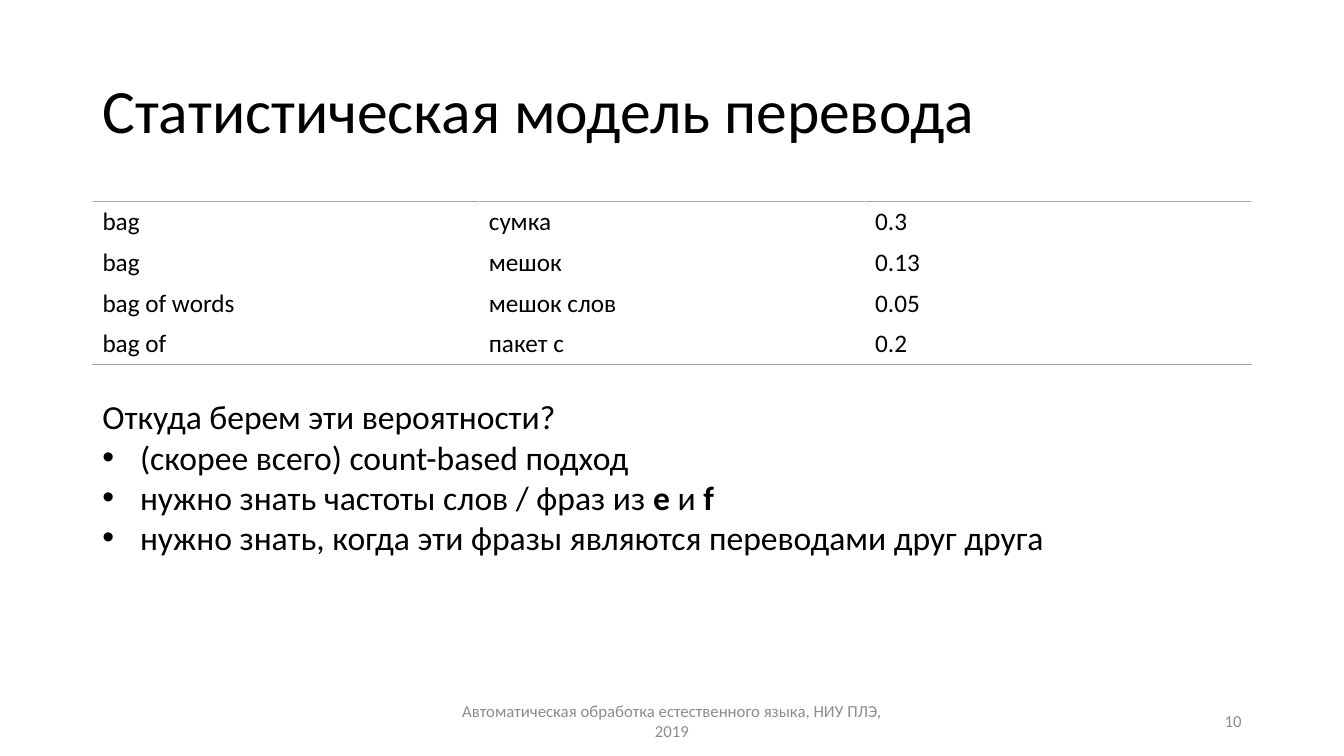
from lxml import etree
from pptx import Presentation
from pptx.dml.color import RGBColor
from pptx.enum.text import MSO_ANCHOR as Anchor, MSO_AUTO_SIZE as AutoSize, PP_ALIGN as Align
from pptx.oxml import parse_xml
from pptx.oxml.ns import nsdecls, qn
from pptx.util import Cm, Pt

FONT = "Calibri"
BLACK, GREY, RULE = "000000", "8C8C8C", "A5A5A5"
LEFT, WIDTH = 2.33, 29.21

TRANSLATIONS = [
    ("bag", "сумка", "0.3"),
    ("bag", "мешок", "0.13"),
    ("bag of words", "мешок слов", "0.05"),
    ("bag of", "пакет с", "0.2"),
]
QUESTION = "Откуда берем эти вероятности?"
# Each answer is a list of (text, bold) runs.
ANSWERS = [
    [("(скорее всего) count-based подход", False)],
    [("нужно знать частоты слов / фраз из ", False), ("e ", True), ("и ", False), ("f", True)],
    [("нужно знать, когда эти фразы являются переводами друг друга", False)],
]


def color(value):
    return RGBColor.from_string(value)


def add_run(p, text, size, fill=BLACK, bold=False):
    r = p.add_run()
    r.text = text
    for name, value in {"name": FONT, "size": Pt(size), "bold": bold}.items():
        setattr(r.font, name, value)
    r.font.color.rgb = color(fill)


def add_text_frame(s, box, anchor=Anchor.TOP):
    tf = s.shapes.add_textbox(*map(Cm, box)).text_frame
    tf.word_wrap = True
    tf.vertical_anchor = anchor
    return tf


def add_line(s, box, text, size, fill=BLACK, **paragraph_format):
    """One vertically centred paragraph in the given box."""
    p = add_text_frame(s, box, Anchor.MIDDLE).paragraphs[0]
    for name, value in paragraph_format.items():
        setattr(p, name, value)
    add_run(p, text, size, fill)


def add_border(cell, side):
    ln = parse_xml(
        f'<a:{side} {nsdecls("a")} w="12700"><a:solidFill>'
        f'<a:srgbClr val="{RULE}"/></a:solidFill></a:{side}>'
    )
    cell._tc.get_or_add_tcPr().insert(0, ln)


def add_translation_table(s, box):
    rows, cols = len(TRANSLATIONS), len(TRANSLATIONS[0])
    table = s.shapes.add_table(rows, cols, *map(Cm, box)).table
    table.first_row = table.horz_banding = False
    for i, entry in enumerate(TRANSLATIONS):
        for j, text in enumerate(entry):
            cell = table.cell(i, j)
            cell.fill.background()
            add_run(cell.text_frame.paragraphs[0], text, 18)
            if i == 0:
                add_border(cell, "lnT")
            if i == rows - 1:
                add_border(cell, "lnB")


def add_bullet(p):
    pPr = p._p.get_or_add_pPr()
    indent = Cm(0.95)
    pPr.set("marL", str(indent))
    pPr.set("indent", str(-indent))
    etree.SubElement(pPr, qn("a:buFont")).set("typeface", "Arial")
    etree.SubElement(pPr, qn("a:buChar")).set("char", "•")


def add_discussion(s, box):
    tf = add_text_frame(s, box)
    tf.auto_size = AutoSize.SHAPE_TO_FIT_TEXT
    add_run(tf.paragraphs[0], QUESTION, 24)
    for answer in ANSWERS:
        p = tf.add_paragraph()
        add_bullet(p)
        for text, bold in answer:
            add_run(p, text, 24, bold=bold)


def add_footer(s, box):
    """Course name in the middle of the box, slide number at its right edge."""
    left, top, width, height = box
    name_width, number_width = 11.43, 7.62
    add_line(s, (left + (width - name_width) / 2, top, name_width, height),
             "Автоматическая обработка естественного языка, НИУ ПЛЭ, 2019",
             12, GREY, alignment=Align.CENTER)
    add_line(s, (left + width - number_width, top, number_width, height),
             "10", 12, GREY, alignment=Align.RIGHT)


def main():
    prs = Presentation()
    prs.slide_width, prs.slide_height = Cm(33.87), Cm(19.05)
    s = prs.slides.add_slide(prs.slide_layouts[6])
    add_line(s, (LEFT, 1.01, WIDTH, 3.68), "Статистическая модель перевода", 44, line_spacing=0.9)
    add_translation_table(s, (LEFT, 5.07, WIDTH, 4.12))
    add_footer(s, (LEFT, 17.66, WIDTH, 1.01))
    add_discussion(s, (LEFT, 9.86, WIDTH, 4.37))
    prs.save("out.pptx")


if __name__ == "__main__":
    main()
